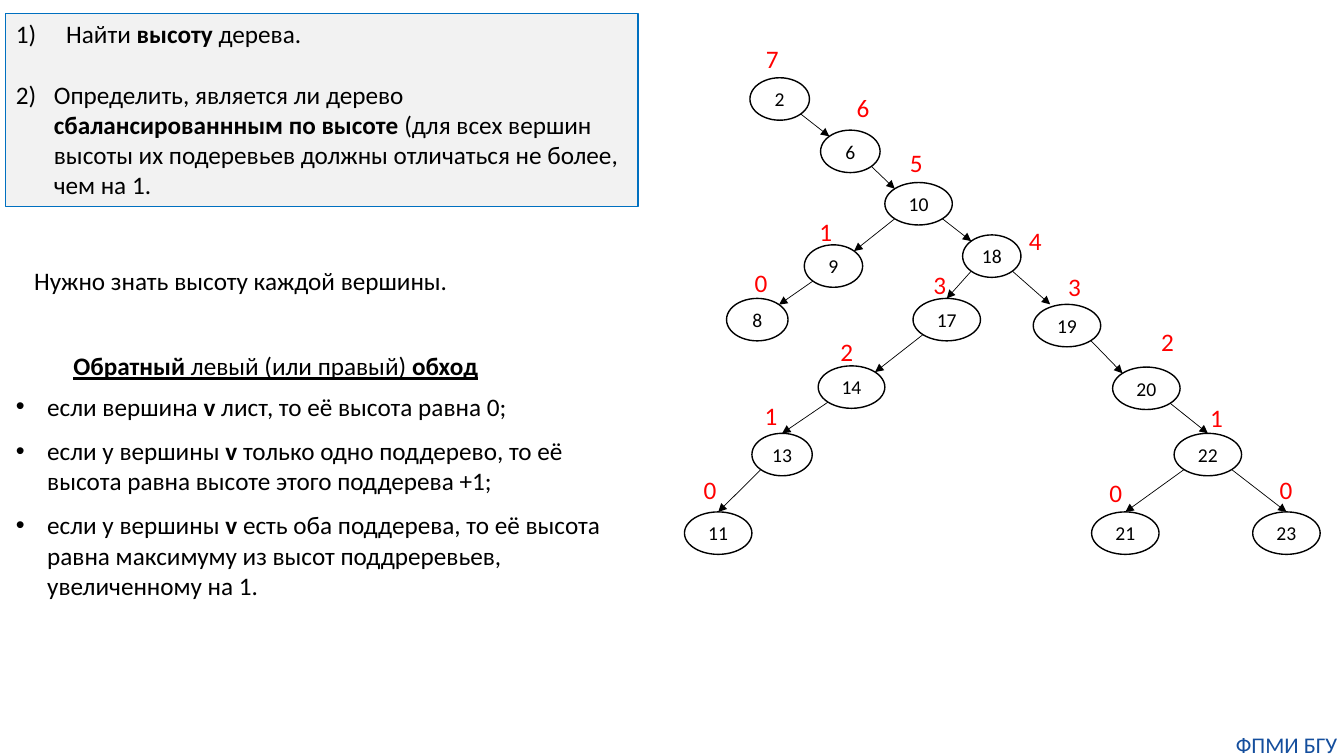
from dataclasses import dataclass
from math import sqrt

from lxml.etree import SubElement
from pptx import Presentation
from pptx.dml.color import RGBColor
from pptx.enum.shapes import MSO_CONNECTOR, MSO_SHAPE
from pptx.enum.text import MSO_ANCHOR, MSO_AUTO_SIZE, PP_ALIGN
from pptx.oxml.ns import qn
from pptx.shapes.base import BaseShape
from pptx.slide import Slide
from pptx.text.text import TextFrame
from pptx.util import Cm, Pt

FONT = "Calibri"
BLACK, WHITE, RED = "000000", "FFFFFF", "FF0000"
NODE_HEIGHT = 1.07
LABEL_SIZE = (0.84, 1.02)
DIAGONAL = (1 - sqrt(0.5)) / 2
SIDE, TOP, NEAR_TOP = (DIAGONAL, DIAGONAL), (0.5, 0), (0.25, 0)


@dataclass(frozen=True)
class Span:
    text: str
    bold: bool = False


@dataclass(frozen=True)
class Para:
    spans: tuple[Span, ...]
    indent: float = 0
    bullet: str = ""
    number: int = 0
    space_after: float = 0
    align: PP_ALIGN = PP_ALIGN.LEFT


@dataclass(frozen=True)
class TextBox:
    area: tuple[float, float, float, float]
    paras: tuple[Para, ...]
    size: float = 18
    color: str = BLACK
    underline: bool = False
    wrap: bool = True
    inset: bool = True
    fill: str = ""
    line: str = ""


@dataclass(frozen=True)
class Node:
    """Tree vertex; entry is the point, in shares of its size, where an arrow from the left arrives."""
    key: int
    left: float
    top: float
    width: float
    label: tuple[float, float]
    parent: int = 0
    entry: tuple[float, float] = SIDE

    def point(self, across: float, down: float) -> tuple[float, float]:
        return self.left + across * self.width, self.top + down * NODE_HEIGHT


NODES = (
    Node(2, 18.9, 1.96, 1.5, (19.05, 0.97)),
    Node(6, 20.68, 3.28, 1.5, (21.34, 2.21), 2),
    Node(10, 22.3, 4.6, 1.7, (22.68, 3.58), 6),
    Node(9, 20.27, 6.17, 1.47, (20.4, 5.33), 10),
    Node(8, 18.31, 7.52, 1.55, (18.77, 6.6), 9),
    Node(18, 24.26, 5.92, 1.47, (25.68, 5.56), 10),
    Node(17, 23.01, 7.52, 1.7, (23.27, 6.65), 18, TOP),
    Node(14, 20.62, 9.22, 1.68, (20.93, 8.36), 17),
    Node(13, 18.95, 10.92, 1.52, (19.02, 9.96), 14, TOP),
    Node(11, 17.25, 12.9, 1.7, (17.48, 11.84), 13, TOP),
    Node(19, 26.04, 7.67, 1.7, (26.67, 6.71), 18, NEAR_TOP),
    Node(20, 28.04, 9.25, 1.7, (29.01, 8.1), 19),
    Node(22, 29.59, 10.92, 1.7, (30.25, 10.01), 20, TOP),
    Node(21, 27.51, 12.9, 1.7, (27.71, 11.91), 22, TOP),
    Node(23, 31.57, 12.9, 1.7, (32, 11.84), 22, TOP),
)


def rule(before: str, after: str) -> Para:
    return Para((Span(before), Span("v ", True), Span(after)), 0.79, bullet="•", space_after=10)


TEXT_BOXES = (
    TextBox((0.15, 0.33, 15.93, 4.88), (
        Para((Span("Найти "), Span("высоту", True), Span(" дерева.")), 1.27, number=1, space_after=22),
        Para((Span("Определить, является ли дерево "),
              Span("сбалансированнным по высоте ", True),
              Span("(для всех вершин высоты их подеревьев должны отличаться не более, чем на 1.")),
             0.96, number=2),
    ), fill="F2F2F2", line="0070C0"),
    TextBox((0.61, 6.55, 11.2, 1.02), (Para((Span("Нужно знать высоту каждой вершины."),)),), wrap=False),
    TextBox((1.6, 8.71, 13.31, 1.02), (
        Para((Span("Обратный ", True), Span("левый (или правый) "), Span("обход", True))),
    ), underline=True),
    TextBox((0.15, 9.73, 15.49, 5.59), (
        rule("если вершина ", "лист, то её высота равна 0;"),
        rule("если у вершины ", "только одно поддерево, то её высота равна высоте этого поддерева +1;"),
        rule("если у вершины ",
             "есть оба поддерева, то её высота равна максимуму из высот поддреревьев, увеличенному на 1."),
    )),
    TextBox((30.99, 18.42, 2.87, 0.69), (Para((Span("ФПМИ БГУ"),), align=PP_ALIGN.CENTER),),
            size=16, color="144E9D", inset=False),
)


def rgb(value: str) -> RGBColor:
    return RGBColor.from_string(value)


def paint(shape: BaseShape, fill: str, line: str, width: float) -> None:
    if fill:
        shape.fill.solid()
        shape.fill.fore_color.rgb = rgb(fill)
    if line:
        shape.line.color.rgb = rgb(line)
        shape.line.width = Pt(width)


def clear_insets(frame: TextFrame) -> None:
    for side in ("left", "top", "right", "bottom"):
        setattr(frame, f"margin_{side}", 0)


def write(frame: TextFrame, paras: tuple[Para, ...], size: float, color: str, underline: bool = False) -> None:
    for index, item in enumerate(paras):
        para = frame.add_paragraph() if index else frame.paragraphs[0]
        para.alignment = item.align
        para.space_after = Pt(item.space_after)
        if item.indent:
            properties = para._p.get_or_add_pPr()
            properties.set("marL", str(Cm(item.indent)))
            properties.set("indent", str(-Cm(item.indent)))
            if item.number:
                SubElement(properties, qn("a:buAutoNum"), type="arabicParenR", startAt=str(item.number))
            else:
                SubElement(properties, qn("a:buFont"), typeface="Arial")
                SubElement(properties, qn("a:buChar"), char=item.bullet)
        for span in item.spans:
            run = para.add_run()
            run.text = span.text
            formats = {"name": FONT, "size": Pt(size), "bold": span.bold, "underline": underline}
            for name, value in formats.items():
                setattr(run.font, name, value)
            run.font.color.rgb = rgb(color)


def draw_text_box(page: Slide, item: TextBox) -> None:
    box = page.shapes.add_textbox(*map(Cm, item.area))
    paint(box, item.fill, item.line, 0.75)
    frame = box.text_frame
    frame.word_wrap = item.wrap
    frame.auto_size = MSO_AUTO_SIZE.SHAPE_TO_FIT_TEXT
    if not item.inset:
        clear_insets(frame)
    write(frame, item.paras, item.size, item.color, item.underline)


def draw_node(page: Slide, node: Node) -> None:
    oval = page.shapes.add_shape(
        MSO_SHAPE.OVAL, *map(Cm, (node.left, node.top, node.width, NODE_HEIGHT)))
    oval.shadow.inherit = False
    paint(oval, WHITE, BLACK, 1)
    oval.text_frame.vertical_anchor = MSO_ANCHOR.MIDDLE
    clear_insets(oval.text_frame)
    write(oval.text_frame, (Para((Span(str(node.key)),), align=PP_ALIGN.CENTER),), 14, BLACK)


def draw_arrow(page: Slide, parent: Node, child: Node) -> None:
    across, down = child.entry
    if child.key < parent.key:
        start, end = parent.point(DIAGONAL, 1 - DIAGONAL), child.point(1 - across, down)
    else:
        start, end = parent.point(1 - DIAGONAL, 1 - DIAGONAL), child.point(across, down)
    arrow = page.shapes.add_connector(MSO_CONNECTOR.STRAIGHT, *map(Cm, start + end))
    arrow.line.color.rgb = rgb(BLACK)
    arrow.line.width = Pt(0.5)
    SubElement(arrow.line._get_or_add_ln(), qn("a:tailEnd"), type="triangle")
    SubElement(arrow._element.spPr, qn("a:effectLst"))


def height(node: Node) -> int:
    return max((height(child) + 1 for child in NODES if child.parent == node.key), default=0)


def main() -> None:
    deck = Presentation()
    deck.slide_width, deck.slide_height = Cm(33.87), Cm(19.05)
    page = deck.slides.add_slide(deck.slide_layouts[6])
    by_key = {node.key: node for node in NODES}
    for node in NODES:
        draw_text_box(page, TextBox(node.label + LABEL_SIZE, (Para((Span(str(height(node))),)),),
                                    color=RED, wrap=False, fill=WHITE))
    for node in NODES:
        draw_node(page, node)
    for node in NODES:
        if node.parent:
            draw_arrow(page, by_key[node.parent], node)
    for item in TEXT_BOXES:
        draw_text_box(page, item)
    deck.save("out.pptx")


if __name__ == "__main__":
    main()
